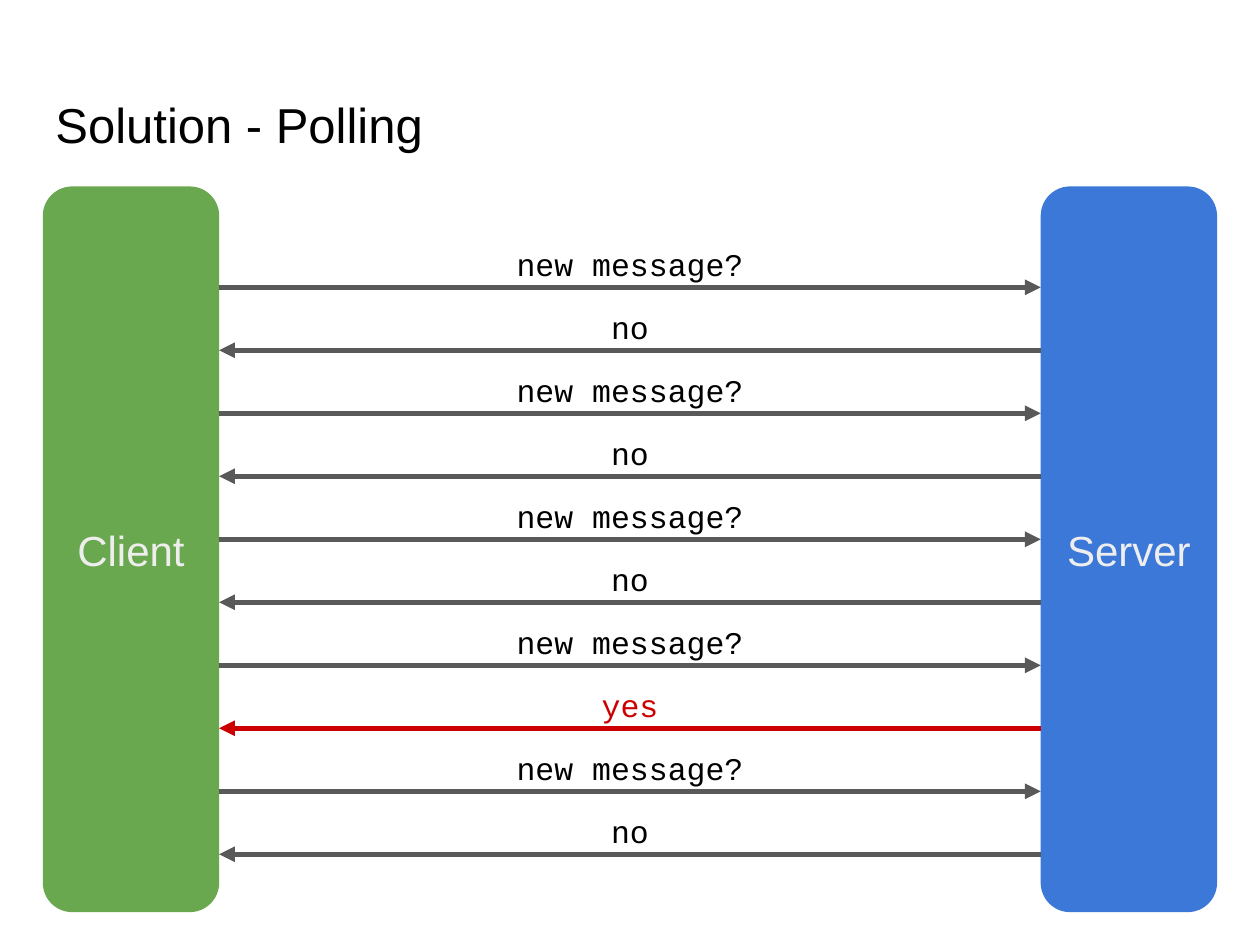
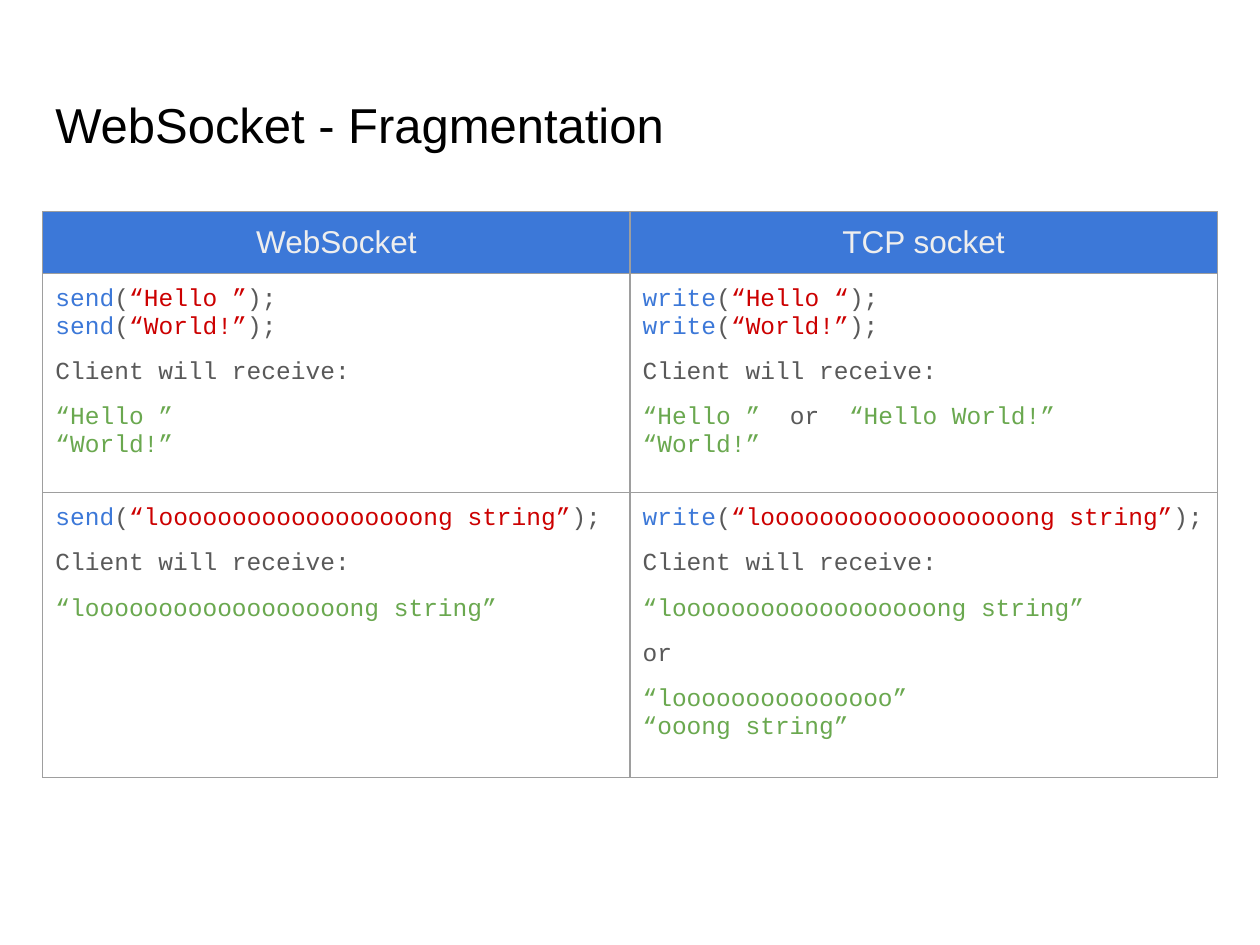
from dataclasses import dataclass

from lxml.etree import SubElement
from pptx import Presentation
from pptx.dml.color import RGBColor
from pptx.enum.shapes import MSO_CONNECTOR as Connector, MSO_SHAPE as Shape
from pptx.enum.text import MSO_ANCHOR as Anchor, MSO_AUTO_SIZE as AutoSize, PP_ALIGN as Align
from pptx.oxml.ns import qn
from pptx.util import Inches, Pt


@dataclass(frozen=True)
class Theme:
    black: str = "000000"
    grey: str = "595959"
    border: str = "9E9E9E"
    light: str = "EEEEEE"
    blue: str = "3C78D8"
    green: str = "6AA84F"
    red: str = "CC0000"
    sans: str = "Arial"
    mono: str = "Courier New"
    title_size: int = 28
    party_size: int = 24
    label_size: int = 18
    code_size: int = 14
    gap: int = 10


THEME = Theme()
LEFT, WIDTH = 0.34, 9.32
INSET = Inches(0.1)


@dataclass(frozen=True)
class Line:
    """A paragraph made of (text, colour) pieces."""
    pieces: tuple
    before: int = 0
    after: int = 0


def rgb(colour):
    return RGBColor.from_string(colour)


def write_text(frame, content, *, size, font=THEME.sans, colour=THEME.black,
               align=Align.LEFT, anchor=Anchor.TOP):
    """Fill a text frame from a string or a list of Lines."""
    lines = [Line(((content, colour),))] if isinstance(content, str) else content
    frame.word_wrap = True
    frame.auto_size = AutoSize.NONE
    frame.vertical_anchor = anchor
    frame.margin_left = frame.margin_right = INSET
    frame.margin_top = frame.margin_bottom = INSET
    for index, line in enumerate(lines):
        paragraph = frame.add_paragraph() if index else frame.paragraphs[0]
        paragraph.alignment = align
        paragraph.space_before, paragraph.space_after = Pt(line.before), Pt(line.after)
        for text, piece_colour in line.pieces:
            run = paragraph.add_run()
            run.text = text
            run.font.name, run.font.size = font, Pt(size)
            run.font.color.rgb = rgb(piece_colour)


def add_titled_slide(prs, heading):
    slide = prs.slides.add_slide(prs.slide_layouts[5])
    title = slide.shapes.title
    title.left, title.top = Inches(LEFT), Inches(0.65)
    title.width, title.height = Inches(WIDTH), Inches(0.83)
    write_text(title.text_frame, heading, size=THEME.title_size)
    return slide


# Message exchange
def add_party(slide, name, colour, left, top, width, height):
    party = slide.shapes.add_shape(Shape.ROUNDED_RECTANGLE, Inches(left), Inches(top),
                                   Inches(width), Inches(height))
    party.shadow.inherit = False
    party.fill.solid()
    party.fill.fore_color.rgb = rgb(colour)
    party.line.fill.background()
    write_text(party.text_frame, name, size=THEME.party_size, colour=THEME.light,
               align=Align.CENTER, anchor=Anchor.MIDDLE)


def add_arrow(slide, start, end, y, colour):
    arrow = slide.shapes.add_connector(Connector.STRAIGHT, Inches(start), Inches(y),
                                       Inches(end), Inches(y))
    arrow.line.color.rgb = rgb(colour)
    arrow.line.width = Pt(3)
    SubElement(arrow.line._get_or_add_ln(), qn("a:tailEnd"), type="triangle")
    SubElement(arrow._element.spPr, qn("a:effectLst"))


def add_message(slide, text, start, end, y, highlighted):
    add_arrow(slide, start, end, y, THEME.red if highlighted else THEME.grey)
    width, height = 2.23, 0.37
    label = slide.shapes.add_textbox(Inches((start + end - width) / 2), Inches(y - height),
                                     Inches(width), Inches(height))
    write_text(label.text_frame, text, size=THEME.label_size, font=THEME.mono,
               colour=THEME.red if highlighted else THEME.black,
               align=Align.CENTER, anchor=Anchor.MIDDLE)


def add_exchange(slide, answers, left, top, width, height):
    party_width, first, pitch = 1.4, 0.8, 0.5
    client_edge, server_edge = left + party_width, left + width - party_width
    add_party(slide, "Client", THEME.green, left, top, party_width, height)
    add_party(slide, "Server", THEME.blue, server_edge, top, party_width, height)
    for index, answer in enumerate(answers):
        y = top + first + 2 * index * pitch
        add_message(slide, "new message?", client_edge, server_edge, y, False)
        add_message(slide, answer, server_edge, client_edge, y + pitch, answer == "yes")


# Comparison table
def call(function, argument):
    return Line(((function, THEME.blue), ("(", THEME.grey),
                 (argument, THEME.red), (");", THEME.grey)))


def note(text):
    return Line(((text, THEME.grey),), before=THEME.gap)


def received(text, before=0, after=0):
    return Line(((text, THEME.green),), before, after)


def comparison_rows():
    hello, world = "“Hello ”", "“World!”"
    long_string = "“loooooooooooooooooong string”"
    intro, gap = note("Client will receive:"), THEME.gap
    either = Line(((hello, THEME.green), ("  or  ", THEME.grey),
                   ("“Hello World!”", THEME.green)), before=gap)
    long_result = [intro, received(long_string, before=gap)]
    return [
        [[call("send", hello), call("send", world), intro,
          received(hello, before=gap), received(world, after=gap)],
         [call("write", "“Hello “"), call("write", world), intro,
          either, received(world, after=gap)]],
        [[call("send", long_string), *long_result],
         [call("write", long_string), *long_result, note("or"),
          received("“looooooooooooooo”", before=gap), received("“ooong string”")]],
    ]


def add_borders(cell):
    properties = cell._tc.get_or_add_tcPr()
    for index, side in enumerate(("lnL", "lnR", "lnT", "lnB")):
        border = properties.makeelement(qn(f"a:{side}"), {"w": str(Pt(0.75))})
        fill = SubElement(border, qn("a:solidFill"))
        SubElement(fill, qn("a:srgbClr"), val=THEME.border)
        properties.insert(index, border)


def add_comparison(slide, headings, rows, left, top, width, row_heights):
    table = slide.shapes.add_table(len(row_heights), len(headings), Inches(left), Inches(top),
                                   Inches(width), Inches(sum(row_heights))).table
    table.first_row = table.horz_banding = False
    for row, height in zip(table.rows, row_heights):
        row.height = Inches(height)
    for row_index, contents in enumerate([headings, *rows]):
        for column_index, content in enumerate(contents):
            cell = table.cell(row_index, column_index)
            cell.margin_left = cell.margin_right = INSET
            cell.margin_top = cell.margin_bottom = INSET
            if row_index == 0:
                cell.fill.solid()
                cell.fill.fore_color.rgb = rgb(THEME.blue)
                cell.vertical_anchor = Anchor.MIDDLE
                write_text(cell.text_frame, content, size=THEME.label_size,
                           colour=THEME.light, align=Align.CENTER)
            else:
                cell.fill.background()
                cell.vertical_anchor = Anchor.TOP
                write_text(cell.text_frame, content, size=THEME.code_size, font=THEME.mono)
            add_borders(cell)


def main():
    prs = Presentation()
    prs.slide_width, prs.slide_height = Inches(10), Inches(7.5)

    polling = add_titled_slide(prs, "Solution - Polling")
    add_exchange(polling, ["no", "no", "no", "yes", "no"], LEFT, 1.48, WIDTH, 5.76)

    fragmentation = add_titled_slide(prs, "WebSocket - Fragmentation")
    add_comparison(fragmentation, ["WebSocket", "TCP socket"], comparison_rows(),
                   LEFT, 1.68, WIDTH, [0.49, 1.74, 2.26])

    prs.save("out.pptx")


if __name__ == "__main__":
    main()
